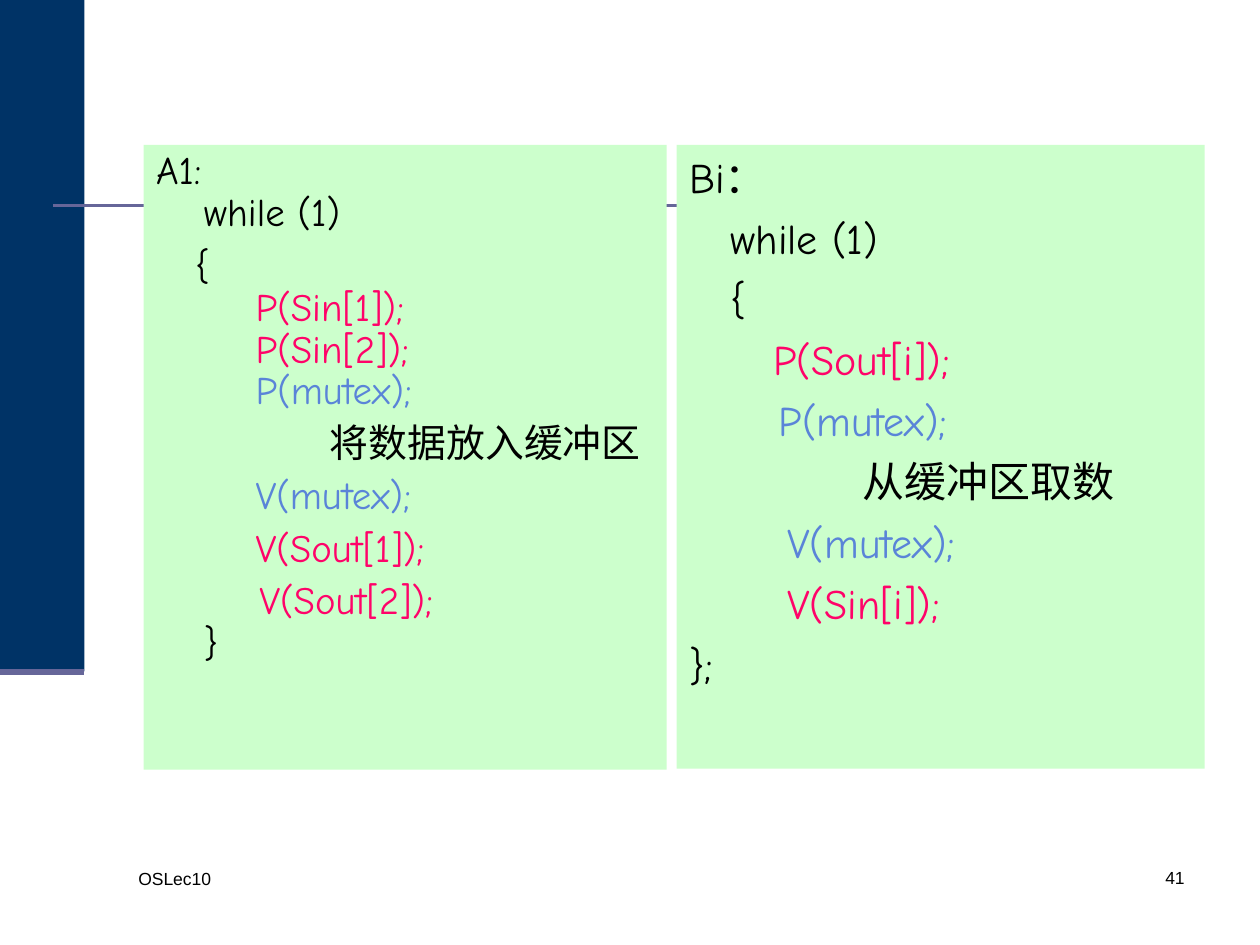
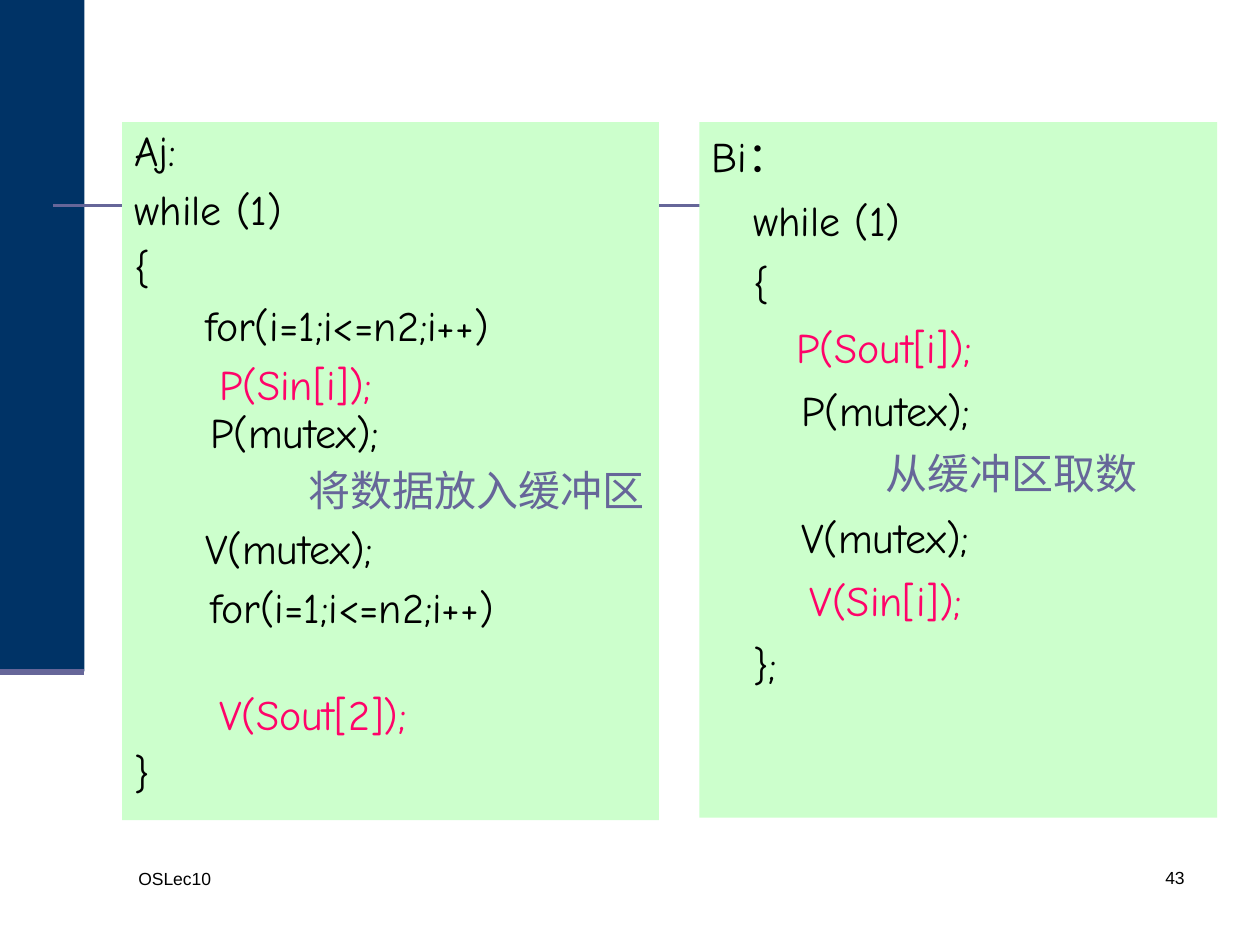
from lxml import etree
from pptx import Presentation
from pptx.dml.color import RGBColor
from pptx.enum.shapes import MSO_CONNECTOR, MSO_SHAPE
from pptx.enum.text import MSO_ANCHOR, PP_ALIGN
from pptx.oxml.ns import qn
from pptx.util import Inches, Pt

NAVY = RGBColor(0x00, 0x33, 0x66)
SLATE = RGBColor(0x66, 0x66, 0x99)
MINT = RGBColor(0xCC, 0xFF, 0xCC)
BLACK = RGBColor(0x00, 0x00, 0x00)
PINK = RGBColor(0xFF, 0x03, 0x69)
BLUE = RGBColor(0x5A, 0x84, 0xD8)

RECT = MSO_SHAPE.RECTANGLE
STRAIGHT = MSO_CONNECTOR.STRAIGHT
LEFT, RIGHT = PP_ALIGN.LEFT, PP_ALIGN.RIGHT
TOP = MSO_ANCHOR.TOP

# Code indents in inches
HANG = 0.38
DATA = 1.38
GAP = 6  # points between statements


class Deck:
    def __init__(self):
        self.prs = Presentation()
        self.prs.slide_width = Inches(10)
        self.prs.slide_height = Inches(7.5)
        self.slide = None

    def page(self, number):
        """Start a slide with the side band, rules and footer."""
        self.slide = self.prs.slides.add_slide(self.prs.slide_layouts[6])
        self.rect(0, 0, 0.67, 5.33, NAVY)
        self.rule(0.42, 9.5, 1.63, 1.5)
        self.rule(0, 0.67, 5.33, 3.5)
        self.note("OSLec10", 1, 6.84, 2.17, LEFT)
        self.note(str(number), 7.42, 6.83, 2.08, RIGHT)

    def rect(self, x, y, w, h, fill):
        shape = self.slide.shapes.add_shape(
            RECT, Inches(x), Inches(y), Inches(w), Inches(h))
        shape.shadow.inherit = False
        shape.fill.solid()
        shape.fill.fore_color.rgb = fill
        shape.line.fill.background()
        return shape

    def rule(self, start, end, y, width):
        line = self.slide.shapes.add_connector(
            STRAIGHT, Inches(start), Inches(y), Inches(end), Inches(y))
        line.line.color.rgb = SLATE
        line.line.width = Pt(width)
        etree.SubElement(line._element.spPr, qn("a:effectLst"))

    def style(self, para, font, size, color, align=LEFT):
        para.alignment = align
        for run in para.runs:
            run.font.name = font
            run.font.size = Pt(size)
            run.font.color.rgb = color
            east = etree.SubElement(run._r.get_or_add_rPr(), qn("a:ea"))
            east.set("typeface", font)

    def note(self, text, x, y, w, align):
        box = self.slide.shapes.add_textbox(
            Inches(x), Inches(y), Inches(w), Inches(0.5))
        frame = box.text_frame
        frame.word_wrap = True
        frame.text = text
        self.style(frame.paragraphs[0], "Arial", 10, BLACK, align)

    def code(self, x, y, w, h, lines, size=24, pitch=1.0):
        """Draw a panel of (indent, text, colour, space before) lines."""
        frame = self.rect(x, y, w, h, MINT).text_frame
        frame.word_wrap = True
        frame.vertical_anchor = TOP
        frame.text = "\n".join(line[1] for line in lines)
        for para, (indent, _, color, space) in zip(frame.paragraphs, lines):
            para._p.get_or_add_pPr().set("marL", str(Inches(indent)))
            para.line_spacing = pitch
            para.space_before = Pt(space)
            self.style(para, "Comic Neue", size, color)


def reader(lock, data, free, end):
    """Give the lines of process Bi."""
    return [
        (0, "Bi：", BLACK, GAP),
        (0.33, "while (1)", BLACK, GAP),
        (0.33, "{", BLACK, GAP),
        (0.67, "P(Sout[i]);", PINK, GAP),
        (0.71, "P(mutex);", lock, GAP),
        (DATA, "从缓冲区取数", data, GAP),
        (free, "V(mutex);", lock, GAP),
        (0.78, "V(Sin[i]);", PINK, GAP),
        (end, "};", BLACK, GAP),
    ]


FIRST = [
    (0, "A1:", BLACK, GAP),
    (HANG, "while (1)", BLACK, 0),
    (0.31, "{", BLACK, GAP),
    (0.79, "P(Sin[1]);", PINK, 0),
    (0.79, "P(Sin[2]);", PINK, 0),
    (0.79, "P(mutex);", BLUE, 0),
    (DATA, "将数据放入缓冲区", BLACK, GAP),
    (0.79, "V(mutex);", BLUE, GAP),
    (0.79, "V(Sout[1]);", PINK, GAP),
    (0.82, "V(Sout[2]);", PINK, GAP),
    (HANG, "}", BLACK, 0),
]

LOOP = [
    (0, "Aj:", BLACK, GAP),
    (0, "while (1)", BLACK, GAP),
    (0, "{", BLACK, GAP),
    (0.56, "for(i=1;i<=n2;i++)", BLACK, GAP),
    (0.67, "P(Sin[i]);", PINK, GAP),
    (0.6, "P(mutex);", BLACK, 0),
    (DATA, "将数据放入缓冲区", SLATE, GAP),
    (0.56, "V(mutex);", BLACK, GAP),
    (0.6, "for(i=1;i<=n2;i++)", BLACK, GAP),
    (0.67, "V(Sout[2]);", PINK, 34),
    (0, "}", BLACK, GAP),
]


def main():
    deck = Deck()
    deck.page(41)
    deck.code(5.37, 1.15, 4.19, 4.95, reader(BLUE, BLACK, 0.78, 0))
    deck.code(1.14, 1.15, 4.15, 4.96, FIRST, 22.2, 0.9)
    deck.page(43)
    deck.code(5.55, 0.97, 4.11, 5.52, reader(BLACK, SLATE, 0.71, 0.33),
              pitch=1.05)
    deck.code(0.97, 0.97, 4.26, 5.54, LOOP, pitch=0.95)
    deck.prs.save("out.pptx")


if __name__ == "__main__":
    main()
